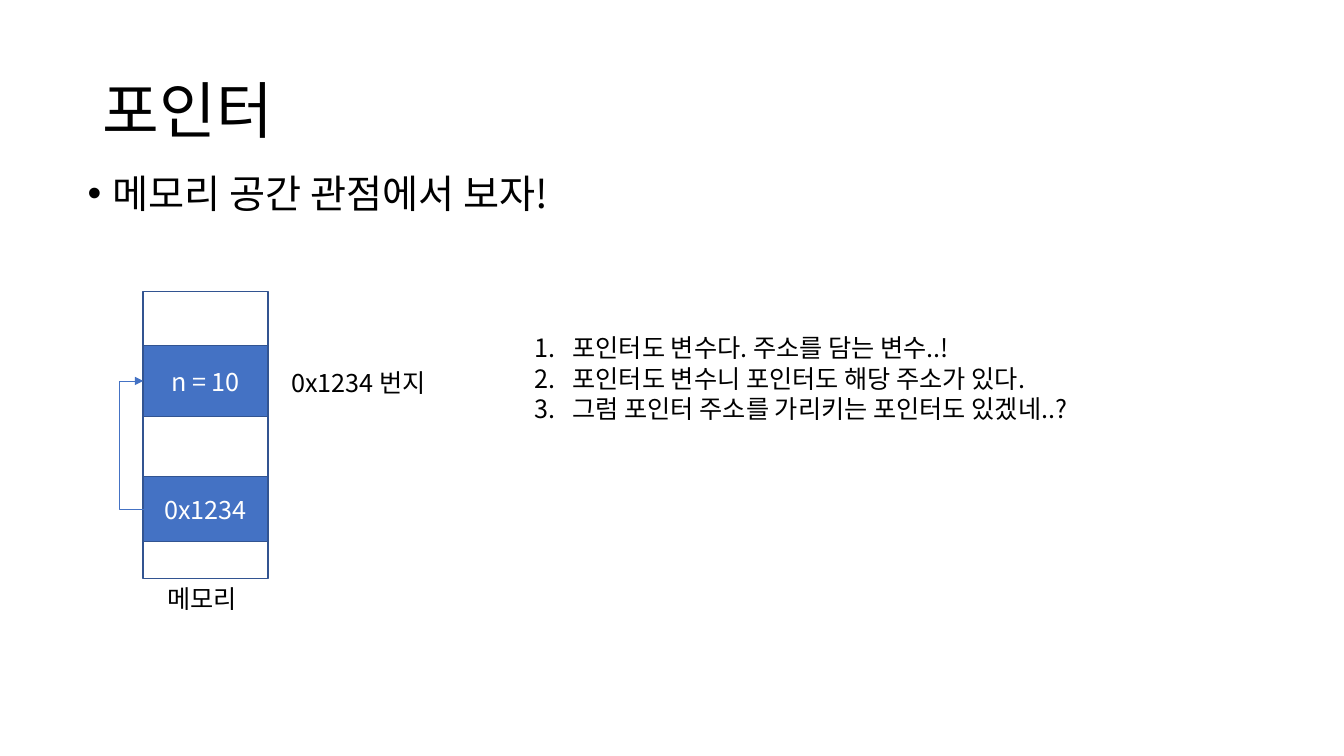
"""Build the slide that explains pointers through memory cells."""
from lxml import etree
from pptx import Presentation
from pptx.dml.color import RGBColor
from pptx.enum import shapes, text
from pptx.oxml import ns
from pptx.util import Inches, Pt

FONT = "Noto Sans CJK KR"
COLORS = {"ink": "000000", "paper": "FFFFFF", "cell": "4472C4", "edge": "325491"}


def write(box, lines, size, color, para_format, frame_format):
    """Fill a box with formatted paragraphs."""
    frame = box.text_frame
    for name, value in frame_format.items():
        setattr(frame, name, value)
    for index, line in enumerate(lines):
        para = frame.add_paragraph() if index else frame.paragraphs[0]
        for name, value in para_format.items():
            setattr(para, name, value)
        span = para.add_run()
        span.text = line
        for name, value in {"name": FONT, "size": Pt(size)}.items():
            setattr(span.font, name, value)
        span.font.color.rgb = RGBColor.from_string(COLORS[color])
        latin = span.font._element.find(ns.qn("a:latin"))
        east_asian = etree.Element(ns.qn("a:ea"), typeface=FONT)
        latin.addnext(east_asian)


def place(box, left, top, width, height):
    """Move and size a box in inches."""
    sides = {"left": left, "top": top, "width": width, "height": height}
    for name, value in sides.items():
        setattr(box, name, Inches(value))


deck = Presentation()
deck.slide_width, deck.slide_height = Inches(13.33), Inches(7.5)
page = deck.slides.add_slide(deck.slide_layouts[1])
LEFT = text.PP_ALIGN.LEFT
MIDDLE = text.MSO_ANCHOR.MIDDLE
FIXED = text.MSO_AUTO_SIZE.NONE
GROW = text.MSO_AUTO_SIZE.SHAPE_TO_FIT_TEXT

title = page.shapes.title
place(title, 0.92, 0.4, 11.5, 1.45)
write(title, ["포인터"], 44, "ink", {"alignment": LEFT, "line_spacing": 0.9},
      {"vertical_anchor": MIDDLE, "auto_size": FIXED})

body = page.placeholders[1]
place(body, 0.77, 1.68, 11.58, 1.35)
write(body, ["메모리 공간 관점에서 보자!"], 28, "ink",
      {"line_spacing": 0.9, "space_before": Pt(10)}, {"auto_size": FIXED})
bullet = body.text_frame.paragraphs[0]._p.get_or_add_pPr()
bullet.set("marL", str(Inches(0.25)))
bullet.set("indent", str(Inches(-0.25)))

CELL_LEFT, CELL_WIDTH = 1.42, 1.24
cells = [(2.89, 2.85, None), (3.43, 0.7, "n = 10"), (4.73, 0.64, "0x1234")]
for top, height, label in cells:
    cell = page.shapes.add_shape(
        shapes.MSO_SHAPE.RECTANGLE, Inches(CELL_LEFT), Inches(top),
        Inches(CELL_WIDTH), Inches(height))
    cell.shadow.inherit = False
    cell.line.color.rgb = RGBColor.from_string(COLORS["edge"])
    cell.line.width = Pt(1)
    if label:
        cell.fill.solid()
        cell.fill.fore_color.rgb = RGBColor.from_string(COLORS["cell"])
        write(cell, [label], 18, "paper", {"alignment": text.PP_ALIGN.CENTER},
              {"vertical_anchor": MIDDLE})
    else:
        cell.fill.background()

pointer = page.shapes.add_connector(
    shapes.MSO_CONNECTOR.ELBOW, Inches(CELL_LEFT + 0.01), Inches(5.05),
    Inches(CELL_LEFT), Inches(3.78))
pointer.line.color.rgb = RGBColor.from_string(COLORS["cell"])
pointer.line.width = Pt(0.5)
etree.SubElement(pointer.line._get_or_add_ln(), ns.qn("a:tailEnd"), type="triangle")
properties = pointer._element.spPr
etree.SubElement(properties, ns.qn("a:effectLst"))
guides = properties.find(ns.qn("a:prstGeom")).get_or_add_avLst()
etree.SubElement(guides, ns.qn("a:gd"), name="adj1", fmla="val 2500000")

notes = [
    "포인터도 변수다. 주소를 담는 변수..!",
    "포인터도 변수니 포인터도 해당 주소가 있다.",
    "그럼 포인터 주소를 가리키는 포인터도 있겠네..?",
]
captions = [
    ((2.79, 3.59, 1.61, 0.4), ["0x1234 번지"], False),
    ((1.56, 5.74, 0.96, 0.4), ["메모리"], False),
    ((5.2, 3.25, 6.59, 1.01), notes, True),
]
for spot, lines, numbered in captions:
    box = page.shapes.add_textbox(*map(Inches, spot))
    write(box, lines, 18, "ink", {"alignment": LEFT},
          {"word_wrap": numbered, "auto_size": GROW})
    if numbered:
        for para in box.text_frame.paragraphs:
            numbering = para._p.get_or_add_pPr()
            numbering.set("marL", str(Inches(0.38)))
            numbering.set("indent", str(Inches(-0.38)))
            etree.SubElement(numbering, ns.qn("a:buFont"), typeface=FONT)
            etree.SubElement(numbering, ns.qn("a:buAutoNum"), type="arabicPeriod")

deck.save("out.pptx")
